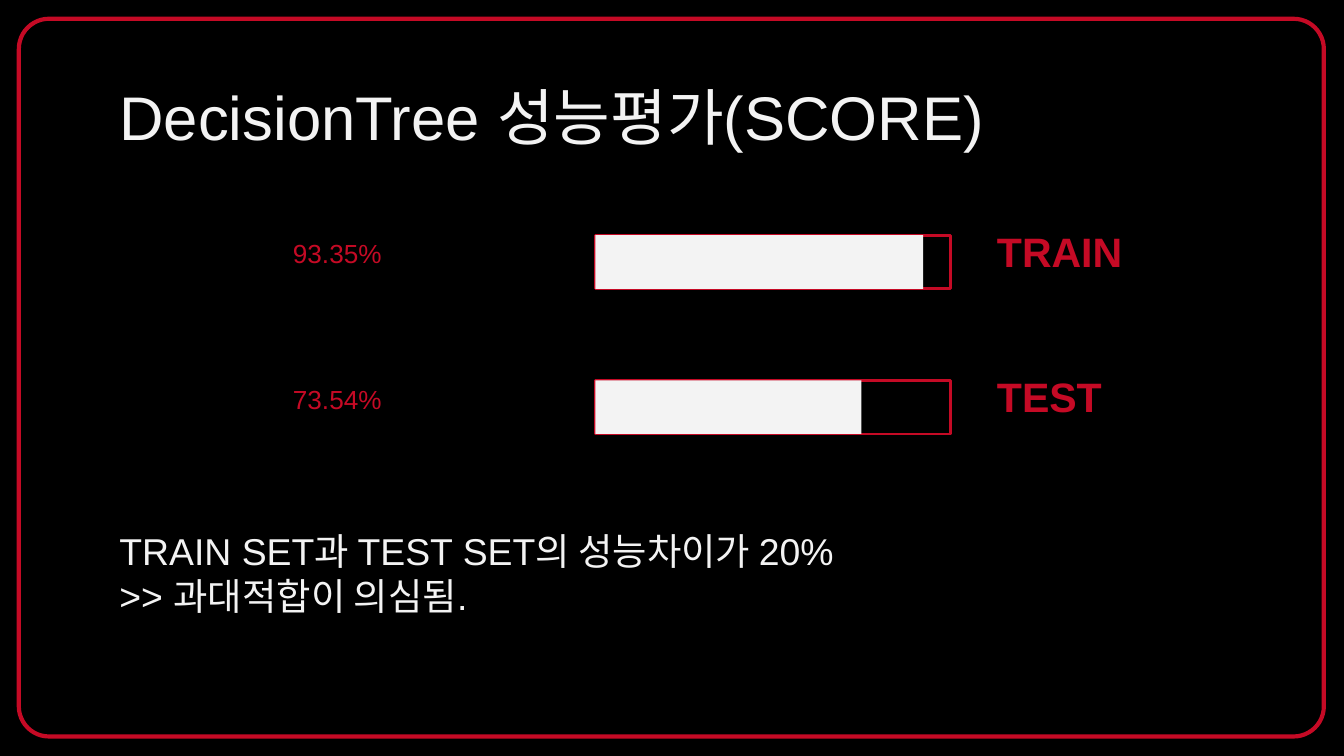
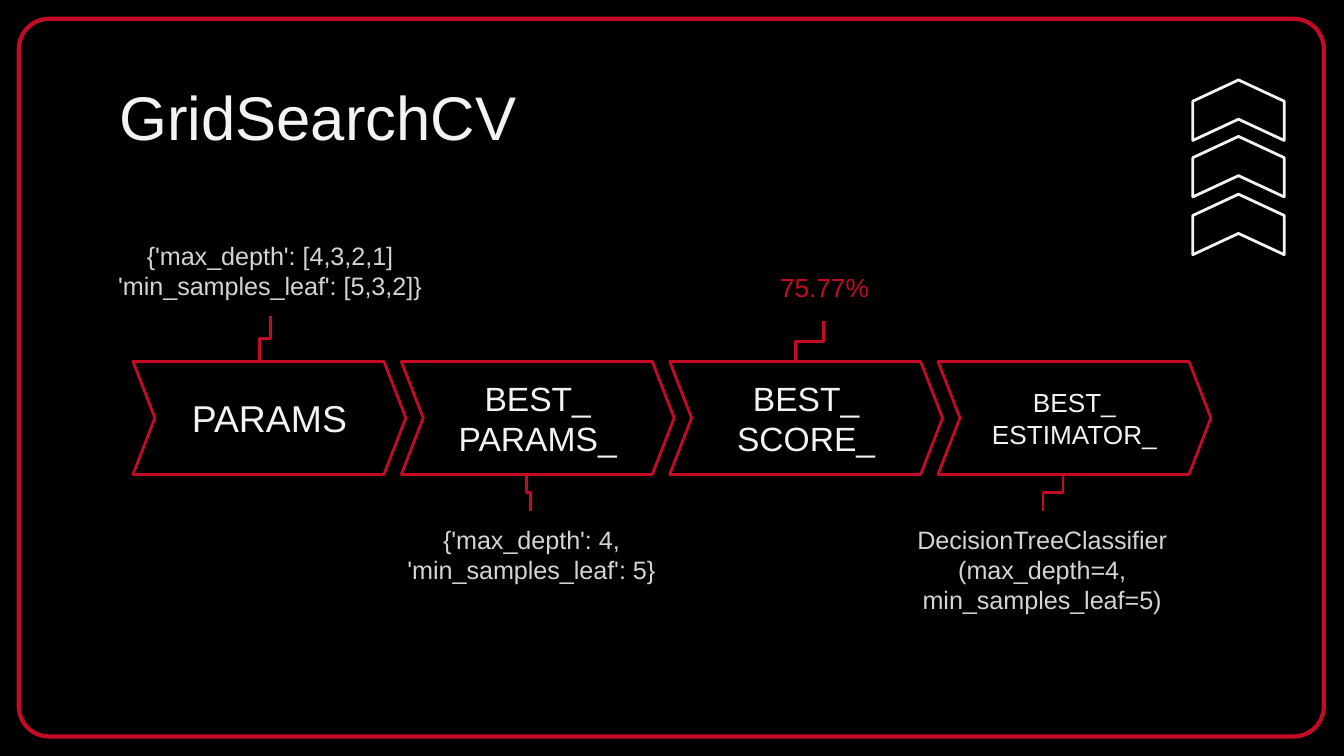
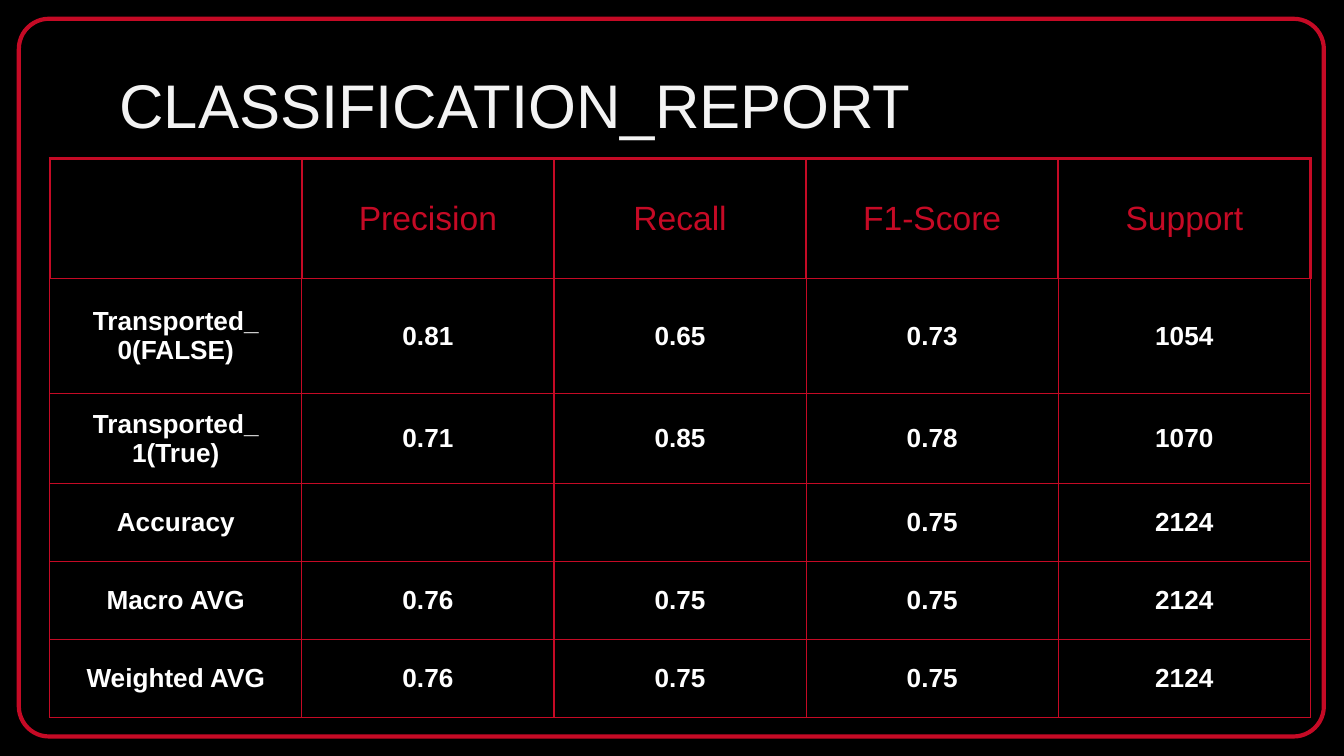
"""Builds three slides on decision tree scores, grid search and the classification report."""
from lxml.etree import SubElement
from pptx import Presentation
from pptx.dml.color import RGBColor
from pptx.enum.shapes import MSO_CONNECTOR, MSO_SHAPE
from pptx.enum.text import MSO_ANCHOR, PP_ALIGN
from pptx.oxml import parse_xml
from pptx.oxml.ns import nsdecls, qn
from pptx.util import Inches, Pt

BLACK = RGBColor(0x00, 0x00, 0x00)
RED = RGBColor(0xC5, 0x0A, 0x25)
LIGHT = RGBColor(0xF3, 0xF3, 0xF3)
GREY = RGBColor(0xD4, 0xD4, 0xD4)
WHITE = RGBColor(0xFF, 0xFF, 0xFF)
FONT = "Arial"

SCORES = [("TRAIN", "93.35%", 2.44), ("TEST", "73.54%", 1.98)]
CONCLUSION = ["TRAIN SET과 TEST SET의 성능차이가 20%", ">> 과대적합이 의심됨."]

STEPS = [
    (["PARAMS"], 20),
    (["BEST_", "PARAMS_"], 18),
    (["BEST_", "SCORE_"], 18),
    (["BEST_", "ESTIMATOR_"], 14),
]
FIRST_STEP_LEFT, LAST_STEP_LEFT = 0.99, 6.98
STEP_NOTES = [
    ((0.39, 1.69, 3.24, 0.66), ["{'max_depth': [4,3,2,1] 'min_samples_leaf': [5,3,2]}"]),
    ((2.52, 3.8, 2.87, 0.63), ["{'max_depth': 4, 'min_samples_leaf': 5}"]),
    ((6.42, 3.8, 2.67, 0.63),
     ["DecisionTreeClassifier", "(max_depth=4, min_samples_leaf=5)"]),
]
BEST_SCORE = "75.77%"
STEP_LINKS = [
    ((2.01, 2.35), (1.93, 2.69)),
    ((3.92, 3.53), (3.95, 3.8)),
    ((6.13, 2.39), (5.92, 2.69)),
    ((7.91, 3.53), (7.76, 3.8)),
]
ARROW_TOPS = [1.33, 0.9, 0.48]

REPORT = [
    ["", "Precision", "Recall", "F1-Score", "Support"],
    ["Transported_\n0(FALSE)", "0.81", "0.65", "0.73", "1054"],
    ["Transported_\n1(True)", "0.71", "0.85", "0.78", "1070"],
    ["Accuracy", "", "", "0.75", "2124"],
    ["Macro AVG", "0.76", "0.75", "0.75", "2124"],
    ["Weighted AVG", "0.76", "0.75", "0.75", "2124"],
]
ROW_HEIGHTS = [0.89, 0.86, 0.67, 0.58, 0.58, 0.58]
TABLE_WIDTH = 9.38


def write(frame, lines, size, color, align=PP_ALIGN.LEFT, bold=False):
    frame.text = "\n".join(lines)
    for paragraph in frame.paragraphs:
        paragraph.alignment = align
        font = paragraph.font
        font.name, font.size, font.bold = FONT, Pt(size), bold
        font.color.rgb = color


def set_margins(frame, vertical=0.1):
    frame.word_wrap = True
    frame.margin_left = frame.margin_right = Inches(0.1)
    frame.margin_top = frame.margin_bottom = Inches(vertical)


def add_text(slide, box, lines, size, color, align=PP_ALIGN.LEFT, bold=False,
             anchor=MSO_ANCHOR.TOP, vertical=0.1):
    frame = slide.shapes.add_textbox(*map(Inches, box)).text_frame
    set_margins(frame, vertical)
    frame.vertical_anchor = anchor
    write(frame, lines, size, color, align, bold)


def add_percent(slide, box, text):
    add_text(slide, box, [text], 14, RED, PP_ALIGN.CENTER, vertical=0.05)


def add_shape(slide, kind, box, line=None, width=1.5, fill=None, adjustment=None):
    shape = slide.shapes.add_shape(kind, *map(Inches, box))
    shape.shadow.inherit = False
    if fill is None:
        shape.fill.background()
    else:
        shape.fill.solid()
        shape.fill.fore_color.rgb = fill
    if line is None:
        shape.line.fill.background()
    else:
        shape.line.color.rgb = line
        shape.line.width = Pt(width)
    if adjustment is not None:
        shape.adjustments[0] = adjustment
    return shape


def add_step_link(slide, top, bottom):
    (x1, y1), (x2, y2) = top, bottom
    middle_x, middle_y = (x1 + x2) / 2, (y1 + y2) / 2
    half_run, half_drop = (x2 - x1) / 2, (y2 - y1) / 2
    link = slide.shapes.add_connector(
        MSO_CONNECTOR.ELBOW,
        Inches(middle_x - half_drop), Inches(middle_y + half_run),
        Inches(middle_x + half_drop), Inches(middle_y - half_run))
    link.line.color.rgb = RED
    link.line.width = Pt(1.5)
    properties = link._element.spPr
    properties.find(qn("a:xfrm")).set("rot", "5400000")
    SubElement(properties, qn("a:effectLst"))


def add_base(presentation, title, title_top=0.49):
    slide = presentation.slides.add_slide(presentation.slide_layouts[6])
    slide.background.fill.solid()
    slide.background.fill.fore_color.rgb = BLACK
    add_shape(slide, MSO_SHAPE.ROUNDED_RECTANGLE, (0.14, 0.14, 9.71, 5.34),
              RED, 2.25, adjustment=0.042)
    add_text(slide, (0.79, title_top, 8.43, 0.63), [title], 33, LIGHT)
    return slide


def set_borders(cell, outer_width):
    widths = {"L": outer_width, "R": outer_width, "T": outer_width, "B": 0.75}
    properties = cell._tc.get_or_add_tcPr()
    for position, (side, width) in enumerate(widths.items()):
        properties.insert(position, parse_xml(
            f'<a:ln{side} {nsdecls("a")} w="{Pt(width)}"><a:solidFill>'
            f'<a:srgbClr val="{RED}"/></a:solidFill></a:ln{side}>'))


def build_scores(presentation):
    slide = add_base(presentation, "DecisionTree 성능평가(SCORE)")
    for index, (label, score, filled) in enumerate(SCORES):
        top = 1.75 + 1.08 * index
        add_percent(slide, (0.82, top - 0.03, 3.38, 0.44), score)
        add_shape(slide, MSO_SHAPE.RECTANGLE, (4.43, top, 2.64, 0.4), RED)
        add_shape(slide, MSO_SHAPE.RECTANGLE, (4.43, top, filled, 0.4), fill=LIGHT)
        add_text(slide, (7.32, top - 0.01, 2.1, 0.41), [label], 22, RED,
                 bold=True, anchor=MSO_ANCHOR.BOTTOM)
    add_text(slide, (0.79, 3.83, 6.77, 1.05), CONCLUSION, 20, LIGHT)


def build_grid_search(presentation):
    slide = add_base(presentation, "GridSearchCV")
    pitch = (LAST_STEP_LEFT - FIRST_STEP_LEFT) / (len(STEPS) - 1)
    for index, (lines, size) in enumerate(STEPS):
        left = FIRST_STEP_LEFT + pitch * index
        step = add_shape(slide, MSO_SHAPE.CHEVRON, (left, 2.69, 2.03, 0.84),
                         RED, adjustment=0.194)
        set_margins(step.text_frame)
        step.text_frame.vertical_anchor = MSO_ANCHOR.MIDDLE
        write(step.text_frame, lines, size, LIGHT, PP_ALIGN.CENTER)
    for top, bottom in STEP_LINKS:
        add_step_link(slide, top, bottom)
    for top in ARROW_TOPS:
        arrow = add_shape(slide, MSO_SHAPE.CHEVRON, (8.99, top, 0.45, 0.68),
                          LIGHT, adjustment=0.351)
        arrow.rotation = 270
    for box, lines in STEP_NOTES:
        add_text(slide, box, lines, 13.5, GREY, PP_ALIGN.CENTER)
    add_percent(slide, (4.76, 1.97, 2.75, 0.38), BEST_SCORE)


def build_report(presentation):
    slide = add_base(presentation, "CLASSIFICATION_REPORT", 0.4)
    table = slide.shapes.add_table(
        len(REPORT), len(REPORT[0]), Inches(0.37), Inches(1.18),
        Inches(TABLE_WIDTH), Inches(sum(ROW_HEIGHTS))).table
    table.first_row = table.horz_banding = False
    for row_index, (values, height) in enumerate(zip(REPORT, ROW_HEIGHTS)):
        table.rows[row_index].height = Inches(height)
        header = row_index == 0
        size, color = (18, RED) if header else (14, WHITE)
        for column_index, value in enumerate(values):
            cell = table.cell(row_index, column_index)
            cell.fill.background()
            cell.vertical_anchor = MSO_ANCHOR.MIDDLE
            cell.margin_left = cell.margin_right = Inches(0.1)
            cell.margin_top = cell.margin_bottom = Inches(0.1)
            write(cell.text_frame, [value], size, color, PP_ALIGN.CENTER, not header)
            set_borders(cell, 1.5 if header else 0.75)


def main():
    presentation = Presentation()
    presentation.slide_width = Inches(10)
    presentation.slide_height = presentation.slide_width * 9 // 16
    build_scores(presentation)
    build_grid_search(presentation)
    build_report(presentation)
    presentation.save("out.pptx")


if __name__ == "__main__":
    main()
